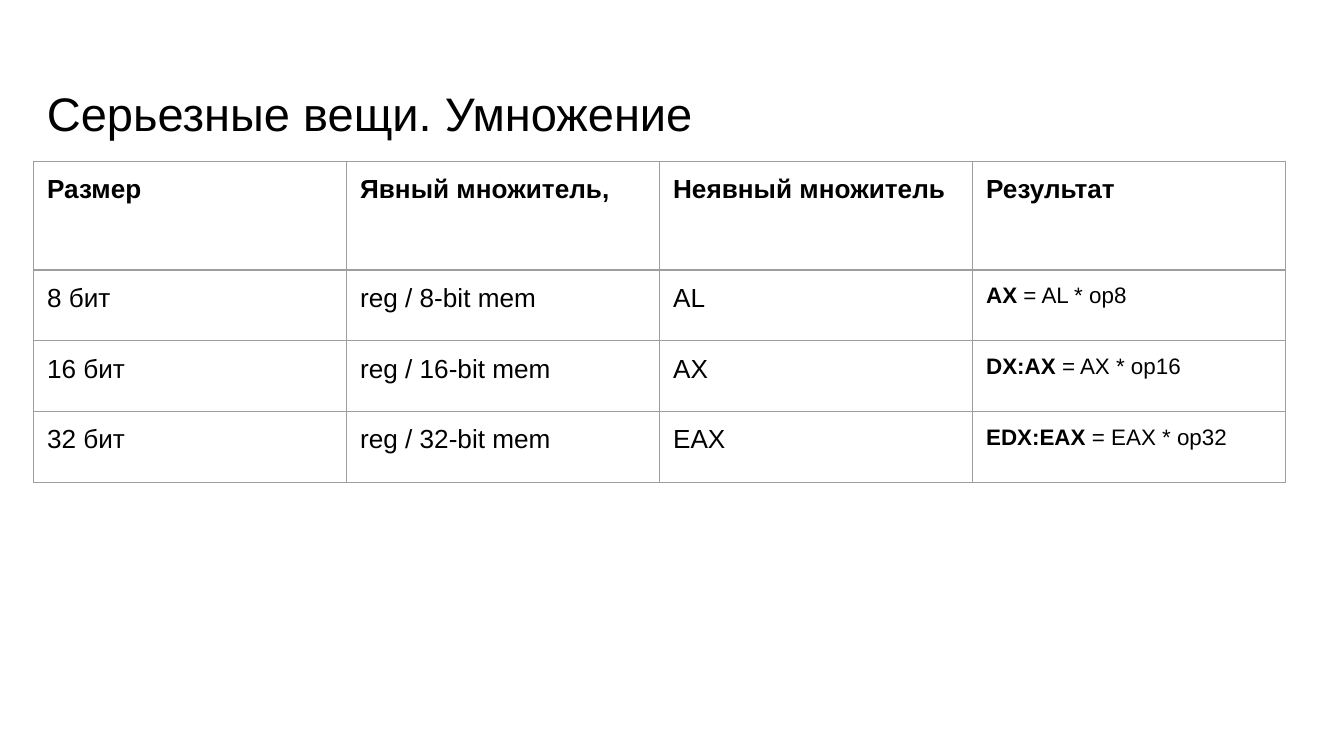
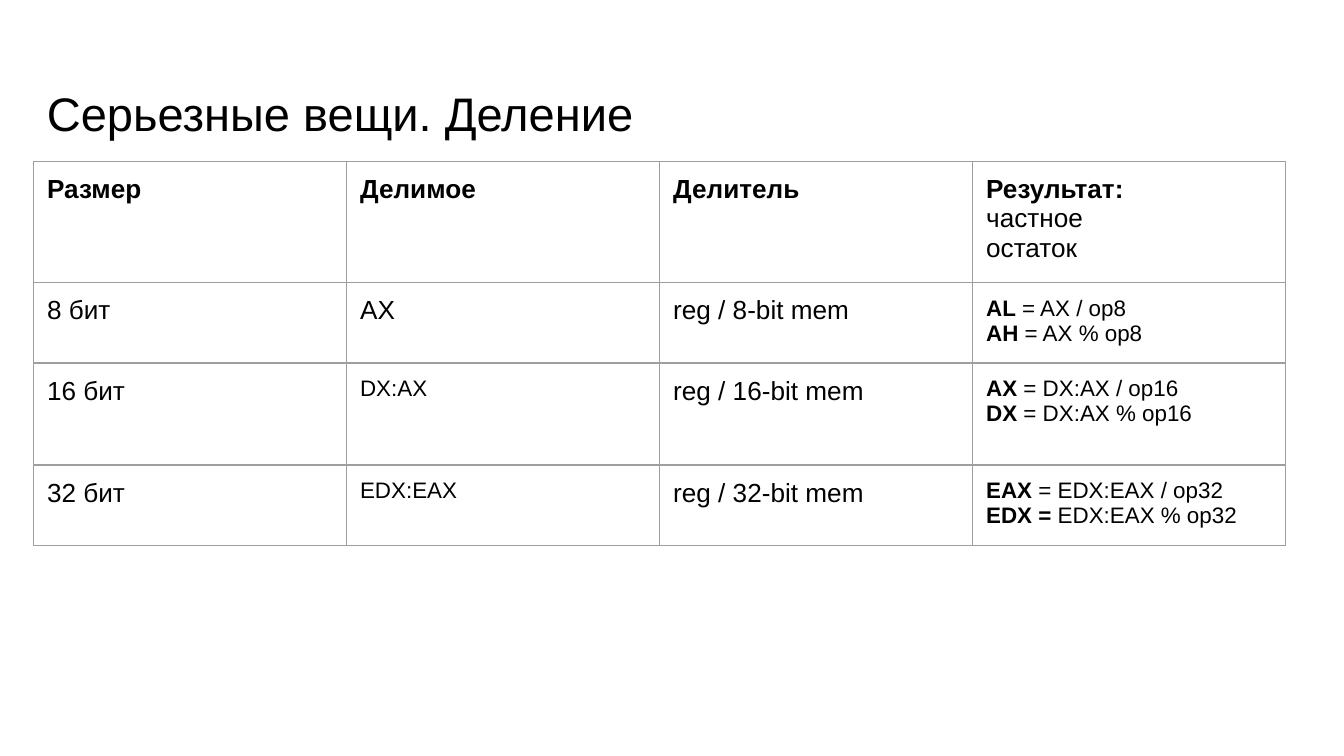
import pptx
import pptx.dml.color
import pptx.enum.text
import pptx.oxml.ns
import pptx.util
from lxml import etree

Pt = pptx.util.Pt
BLACK = pptx.dml.color.RGBColor(0x00, 0x00, 0x00)
BORDER_GRAY = pptx.dml.color.RGBColor(0x9E, 0x9E, 0x9E)
FONT = "Arial"
TITLE_SIZE, BODY_SIZE, FORMULA_SIZE = 25.2, 14, 12
INSET = 7.2
BORDER_WIDTH = 0.75
TABLE_LEFT, TABLE_TOP, COLUMN_WIDTH = 18, 86.4, 167.7


def plain(text, size=BODY_SIZE):
    return [[(text, size, False)]]


def heading(text, *details):
    return [[(text, BODY_SIZE, True)]] + [[(detail, BODY_SIZE, False)] for detail in details]


def formulas(*pairs):
    return [
        [(register, FORMULA_SIZE, True), (expression, FORMULA_SIZE, False)]
        for register, expression in pairs
    ]


def write_lines(text_frame, lines):
    for index, line in enumerate(lines):
        paragraph = text_frame.paragraphs[0] if index == 0 else text_frame.add_paragraph()
        for text, size, bold in line:
            run = paragraph.add_run()
            run.text = text
            run.font.name = FONT
            run.font.size = Pt(size)
            run.font.bold = bold
            run.font.color.rgb = BLACK


def set_insets(target):
    target.margin_left = target.margin_right = Pt(INSET)
    target.margin_top = target.margin_bottom = Pt(INSET)


def set_borders(cell):
    qn = pptx.oxml.ns.qn
    properties = cell._tc.get_or_add_tcPr()
    for position, side in enumerate(("a:lnL", "a:lnR", "a:lnT", "a:lnB")):
        line = etree.Element(qn(side), w=str(Pt(BORDER_WIDTH)))
        fill = etree.SubElement(line, qn("a:solidFill"))
        etree.SubElement(fill, qn("a:srgbClr"), val=str(BORDER_GRAY))
        properties.insert(position, line)


def add_title(slide, text):
    shape = slide.shapes.add_textbox(Pt(18), Pt(37.4), Pt(671), Pt(45.4))
    text_frame = shape.text_frame
    text_frame.word_wrap = True
    text_frame.vertical_anchor = pptx.enum.text.MSO_ANCHOR.BOTTOM
    set_insets(text_frame)
    write_lines(text_frame, plain(text, TITLE_SIZE))


def add_grid(slide, rows, row_heights):
    column_count = len(rows[0])
    table = slide.shapes.add_table(
        len(rows), column_count, Pt(TABLE_LEFT), Pt(TABLE_TOP),
        Pt(COLUMN_WIDTH * column_count), Pt(sum(row_heights)),
    ).table
    table.first_row = False
    table.horz_banding = False
    for column in table.columns:
        column.width = Pt(COLUMN_WIDTH)
    for row, height, contents in zip(table.rows, row_heights, rows):
        row.height = Pt(height)
        for cell, lines in zip(row.cells, contents):
            cell.fill.background()
            set_insets(cell)
            set_borders(cell)
            write_lines(cell.text_frame, lines)


def add_table_slide(presentation, title, rows, row_heights):
    slide = presentation.slides.add_slide(presentation.slide_layouts[6])
    add_title(slide, title)
    add_grid(slide, rows, row_heights)


def main():
    presentation = pptx.Presentation()
    presentation.slide_width = Pt(720)
    presentation.slide_height = Pt(405)

    multiplication = [
        [heading("Размер"), heading("Явный множитель,"),
         heading("Неявный множитель"), heading("Результат")],
    ]
    for bits, factor, product in ((8, "AL", "AX"), (16, "AX", "DX:AX"), (32, "EAX", "EDX:EAX")):
        multiplication.append([
            plain(f"{bits} бит"), plain(f"reg / {bits}-bit mem"), plain(factor),
            formulas((product, f" = {factor} * op{bits}")),
        ])
    add_table_slide(presentation, "Серьезные вещи. Умножение", multiplication,
                    [58.3, 37.9, 37.9, 37.9])

    division = [
        [heading("Размер"), heading("Делимое"), heading("Делитель"),
         heading("Результат:", "частное", "остаток")],
        [plain("8 бит"), plain("AX"), plain("reg / 8-bit mem"),
         formulas(("AL", " = AX / op8"), ("AH", " = AX % op8"))],
        [plain("16 бит"), plain("DX:AX", FORMULA_SIZE), plain("reg / 16-bit mem"),
         formulas(("AX", " = DX:AX / op16"), ("DX", " = DX:AX % op16"))],
        [plain("32 бит"), plain("EDX:EAX", FORMULA_SIZE), plain("reg / 32-bit mem"),
         formulas(("EAX", " = EDX:EAX / op32"), ("EDX = ", "EDX:EAX % op32"))],
    ]
    add_table_slide(presentation, "Серьезные вещи. Деление", division,
                    [58.3, 37.9, 54.7, 37.9])

    presentation.save("out.pptx")


if __name__ == "__main__":
    main()
